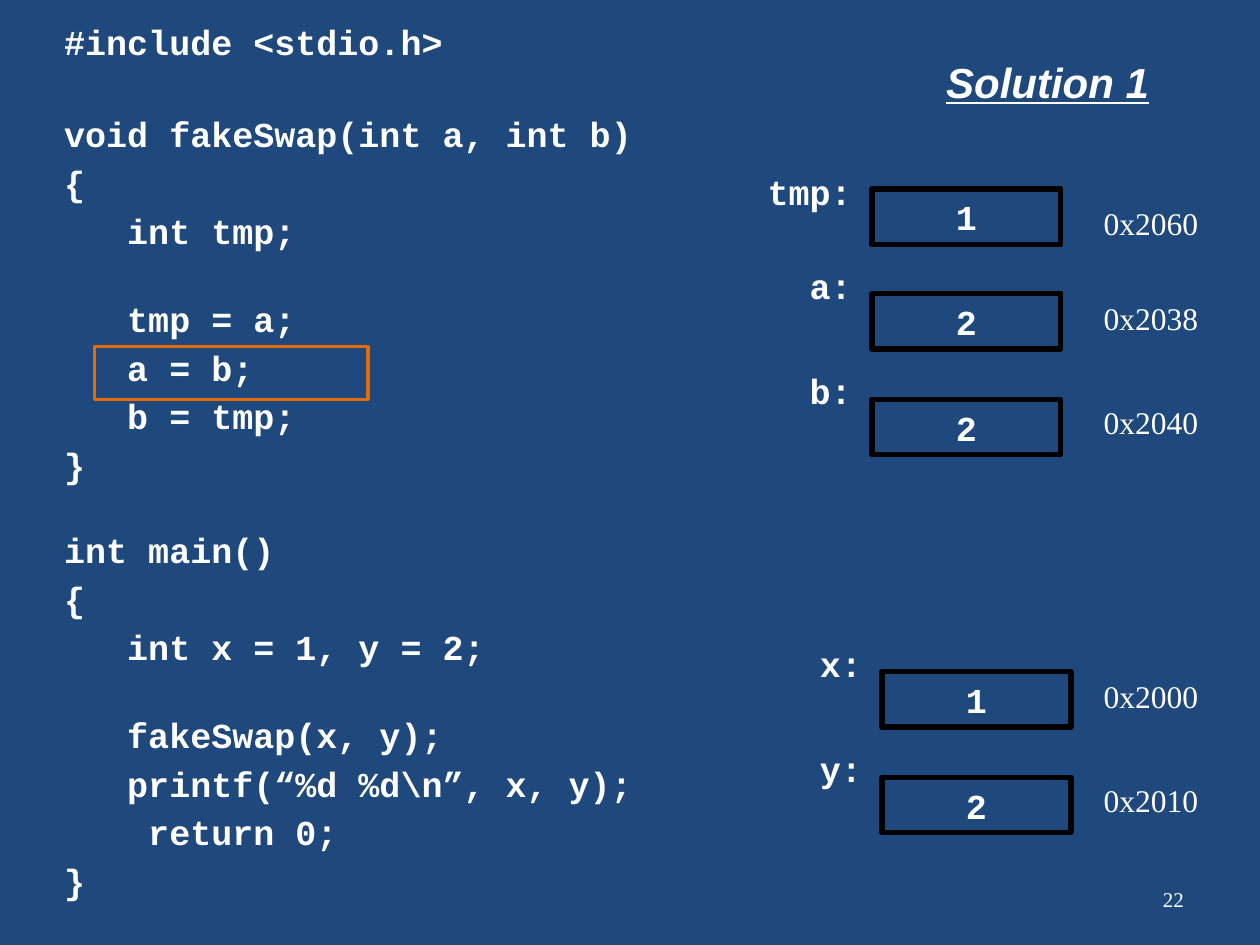
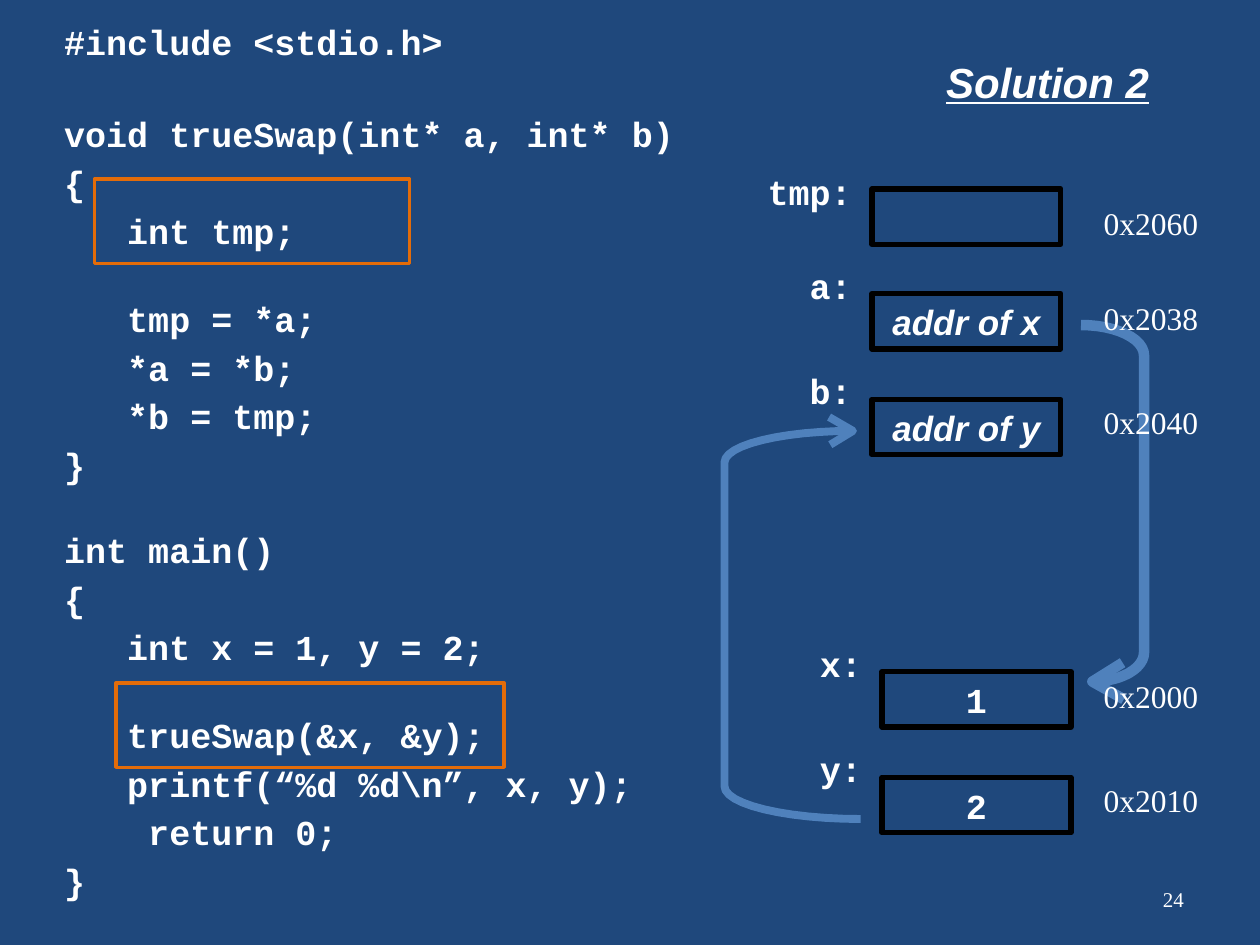
from math import cos, pi, sin

from pptx import Presentation
from pptx.dml.color import RGBColor
from pptx.enum.shapes import MSO_SHAPE
from pptx.enum.text import MSO_ANCHOR, PP_ALIGN
from pptx.util import Inches, Pt

COLORS = {
    "background": "1F487C",
    "text": "FFFFFF",
    "cell_border": "000000",
    "highlight": "E36C09",
    "pointer": "4F81BC",
}
CODE = {"name": "Courier New", "size": Pt(20), "bold": True}
TITLE = {"name": "Arial", "size": Pt(24), "bold": True, "italic": True, "underline": True}
POINTER_VALUE = {"name": "Arial", "size": Pt(20), "bold": True, "italic": True}
ADDRESS = {"name": "Times New Roman", "size": Pt(18)}
PAGE_NUMBER = {"name": "Times New Roman", "size": Pt(12)}

CODE_TOP = 0.16
ROW_HEIGHT = 0.367
ROW_GAP = Pt(3.74)
CELL_WIDTH, CELL_HEIGHT = 1.5, 0.44
CURVE_STEPS = 12

VARIABLES = [
    ("tmp:", 6.92, 1.5, 1.34, "0x2060", 1.61),
    ("a:", 6.92, 2.33, 2.09, "0x2038", 2.36),
    ("b:", 6.92, 3.17, 2.92, "0x2040", 3.19),
    ("x:", 7, 5.33, 5.09, "0x2000", 5.36),
    ("y:", 7, 6.17, 5.92, "0x2010", 6.19),
]

FAKE_SWAP = r"""#include <stdio.h>

void fakeSwap(int a, int b)
{
   int tmp;

   tmp = a;
   a = b;
   b = tmp;
}

int main()
{
   int x = 1, y = 2;

   fakeSwap(x, y);
   printf(“%d %d\n”, x, y);
    return 0;
}"""

TRUE_SWAP = r"""#include <stdio.h>

void trueSwap(int* a, int* b)
{
   int tmp;

   tmp = *a;
   *a = *b;
   *b = tmp;
}

int main()
{
   int x = 1, y = 2;

   trueSwap(&x, &y);
   printf(“%d %d\n”, x, y);
    return 0;
}"""

SOLUTIONS = [
    {
        "title": "Solution 1",
        "page": "22",
        "code": FAKE_SWAP,
        "highlights": [(0.75, 2.75, 2.17, 0.42)],
        "values": ["1", "2", "2", "1", "2"],
        "pointers": [],
    },
    {
        "title": "Solution 2",
        "page": "24",
        "code": TRUE_SWAP,
        "highlights": [(0.75, 1.42, 2.5, 0.67), (0.92, 5.42, 3.08, 0.67)],
        "values": ["", "addr of x", "addr of y", "1", "2"],
        "pointers": [
            {
                "start": (8.58, 2.58), "end": (8.67, 5.41), "side": 9.08,
                "corners": (2.82, 5.18), "wings": [(8.92, 5.55), (8.91, 5.26)], "width": 6,
            },
            {
                "start": (6.83, 6.5), "end": (6.77, 3.42), "side": 5.75,
                "corners": (6.24, 3.67), "wings": [(6.58, 3.31), (6.59, 3.53)], "width": 4.5,
            },
        ],
    },
]


def write(shape, lines, font, align=PP_ALIGN.LEFT, anchor=MSO_ANCHOR.TOP):
    frame = shape.text_frame
    frame.word_wrap = True
    frame.vertical_anchor = anchor
    for side in ("left", "top", "right", "bottom"):
        setattr(frame, f"margin_{side}", 0)
    for index, line in enumerate(lines):
        paragraph = frame.add_paragraph() if index else frame.paragraphs[0]
        if index:
            paragraph.space_before = ROW_GAP
        paragraph.alignment = align
        run = paragraph.add_run()
        run.text = line
        for attribute, value in font.items():
            setattr(run.font, attribute, value)
        run.font.color.rgb = RGBColor.from_string(COLORS["text"])


def add_box(slide, bounds, border, width):
    shape = slide.shapes.add_shape(MSO_SHAPE.RECTANGLE, *map(Inches, bounds))
    shape.shadow.inherit = False
    shape.fill.solid()
    shape.fill.fore_color.rgb = RGBColor.from_string(COLORS["background"])
    shape.line.color.rgb = RGBColor.from_string(COLORS[border])
    shape.line.width = Pt(width)
    return shape


presentation = Presentation()
presentation.slide_width = Inches(10)
presentation.slide_height = Inches(7.5)
background = presentation.slide_master.background.fill
background.solid()
background.fore_color.rgb = RGBColor.from_string(COLORS["background"])

for solution in SOLUTIONS:
    slide = presentation.slides.add_slide(presentation.slide_layouts[6])

    for bounds in solution["highlights"]:
        add_box(slide, bounds, "highlight", 2)

    row = 0
    for block in solution["code"].split("\n\n"):
        lines = block.split("\n")
        top = CODE_TOP + row * ROW_HEIGHT
        bounds = (0.51, top, 5.3, len(lines) * ROW_HEIGHT)
        write(slide.shapes.add_textbox(*map(Inches, bounds)), lines, CODE)
        row += len(lines) + 1

    for pointer in solution["pointers"]:
        angles = [step * pi / 2 / CURVE_STEPS for step in range(CURVE_STEPS + 1)]
        halves = []
        for (x, y), corner in zip((pointer["start"], pointer["end"]), pointer["corners"]):
            halves.append([
                (Inches(x + (pointer["side"] - x) * sin(angle)),
                 Inches(y + (corner - y) * (1 - cos(angle))))
                for angle in angles
            ])
        curve = halves[0] + halves[1][::-1]
        first_wing, last_wing = [tuple(map(Inches, wing)) for wing in pointer["wings"]]
        builder = slide.shapes.build_freeform(*curve[0])
        builder.add_line_segments(curve[1:], close=False)
        builder.move_to(*first_wing)
        builder.add_line_segments([curve[-1], last_wing], close=False)
        arrow = builder.convert_to_shape()
        arrow.shadow.inherit = False
        arrow.fill.background()
        arrow.line.color.rgb = RGBColor.from_string(COLORS["pointer"])
        arrow.line.width = Pt(pointer["width"])

    for variable, value in zip(VARIABLES, solution["values"]):
        name, left, top, name_top, address, address_top = variable
        cell = add_box(slide, (left, top, CELL_WIDTH, CELL_HEIGHT), "cell_border", 3)
        if value:
            font = POINTER_VALUE if value.startswith("addr") else CODE
            write(cell, [value], font, PP_ALIGN.CENTER, MSO_ANCHOR.MIDDLE)
        label = slide.shapes.add_textbox(
            Inches(left - 0.96), Inches(name_top + 0.01), Inches(0.8), Inches(0.36))
        write(label, [name], CODE, PP_ALIGN.RIGHT)
        label = slide.shapes.add_textbox(
            Inches(8.76), Inches(address_top + 0.01), Inches(0.9), Inches(0.33))
        write(label, [address], ADDRESS)

    title = slide.shapes.add_textbox(Inches(7.51), Inches(0.45), Inches(1.8), Inches(0.43))
    write(title, [solution["title"]], TITLE)
    page = slide.shapes.add_textbox(Inches(9.23), Inches(7.04), Inches(0.3), Inches(0.23))
    write(page, [solution["page"]], PAGE_NUMBER)

presentation.save("out.pptx")
